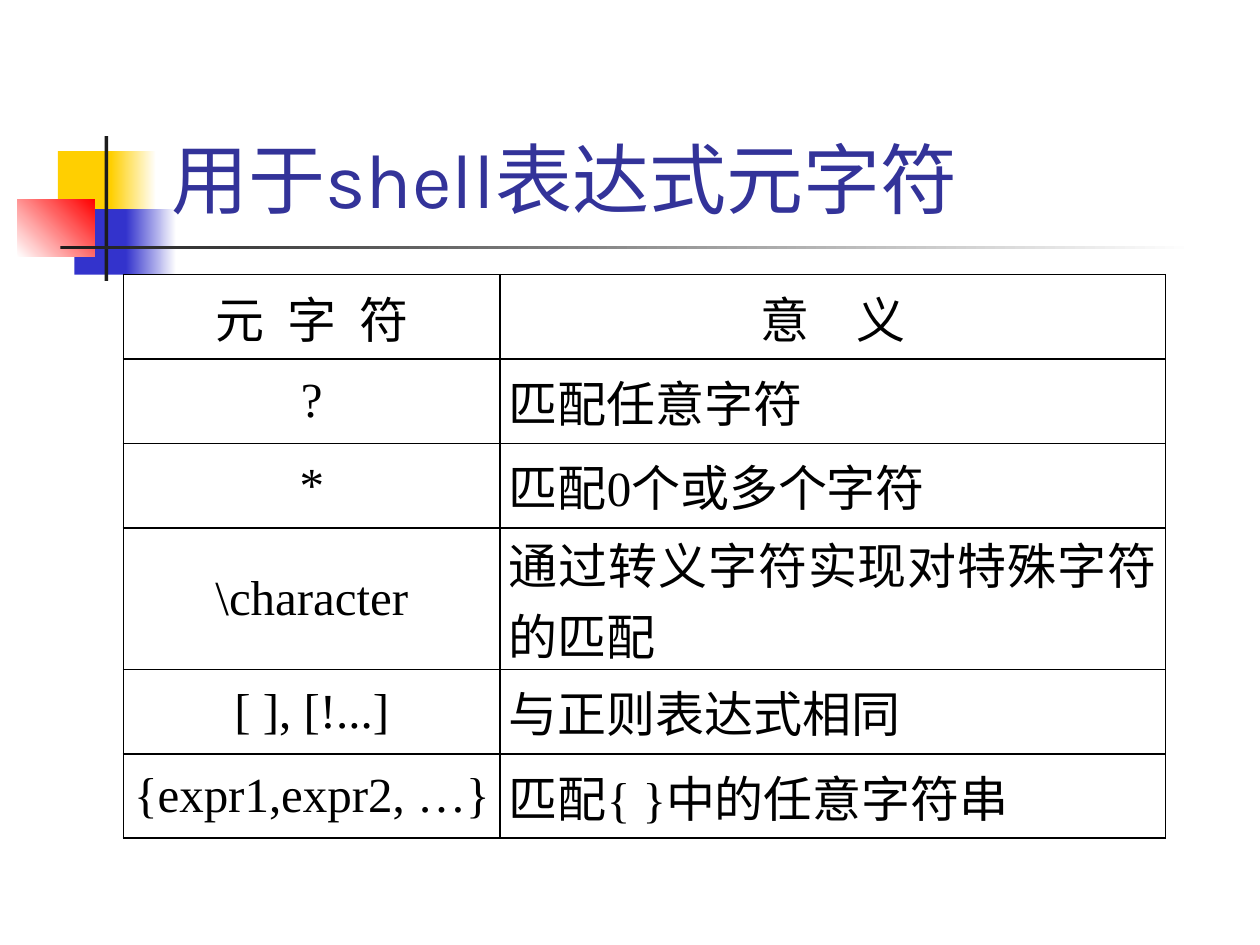
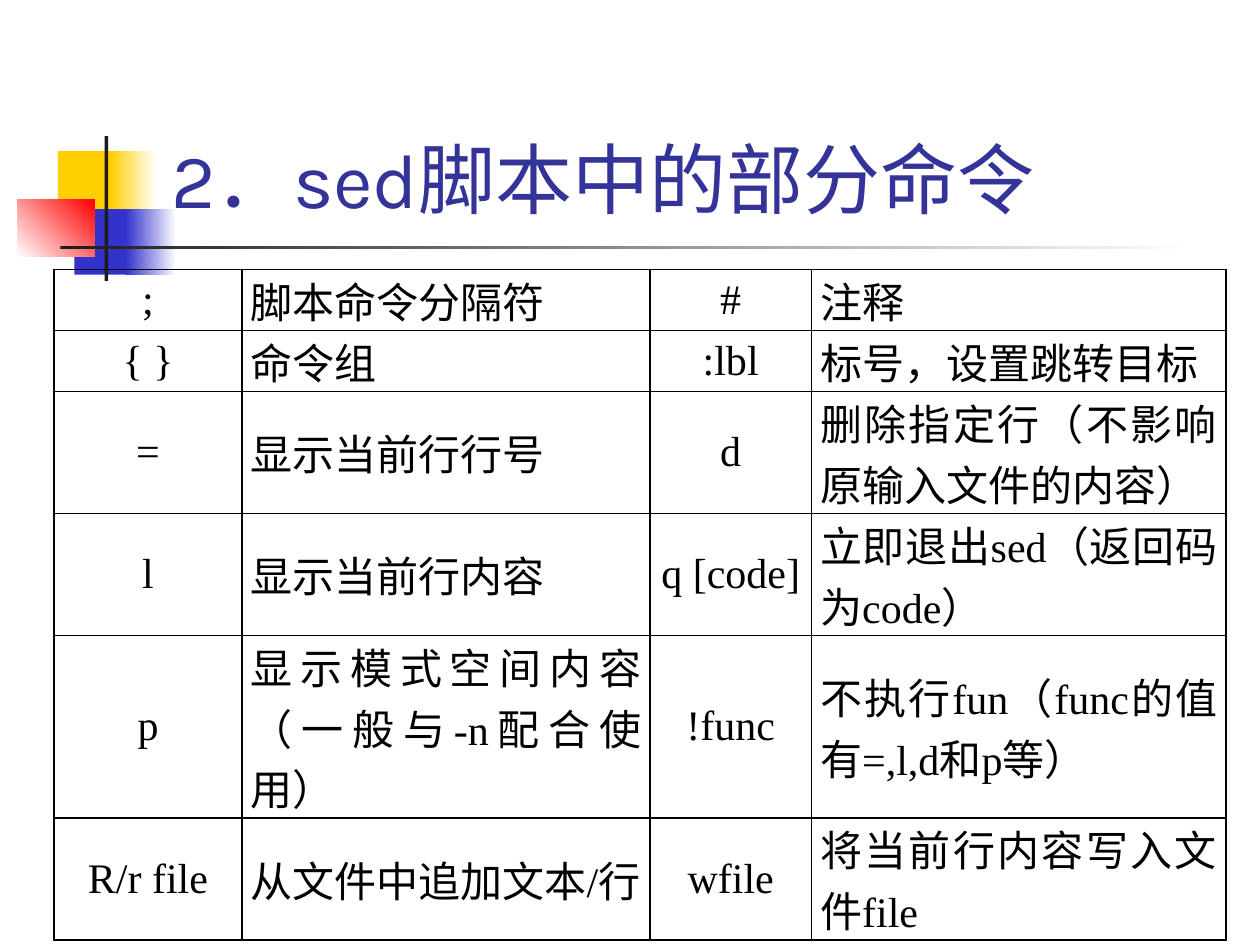
from lxml.etree import SubElement
from pptx import Presentation
from pptx.dml.color import RGBColor
from pptx.enum.lang import MSO_LANGUAGE_ID
from pptx.enum.shapes import MSO_SHAPE
from pptx.enum.text import MSO_ANCHOR, MSO_AUTO_SIZE, PP_ALIGN
from pptx.oxml.ns import qn
from pptx.util import Inches, Pt

YELLOW = RGBColor(0xFF, 0xCF, 0x01)
BLUE = RGBColor(0x33, 0x33, 0xCC)
RED = RGBColor(0xFF, 0x00, 0x00)
CHARCOAL = RGBColor(0x1C, 0x1C, 0x1C)
NAVY = RGBColor(0x33, 0x33, 0x99)
BLACK = RGBColor(0x00, 0x00, 0x00)
WHITE = RGBColor(0xFF, 0xFF, 0xFF)

TITLE_BOX = {"left": 1.26, "top": 0.23, "width": 8.52, "height": 1.6}
TITLE_FONT = {"size": Pt(44), "name": "Karla"}
CELL_FORMAT = {
    "vertical_anchor": MSO_ANCHOR.MIDDLE,
    "margin_left": Inches(0.07),
    "margin_right": Inches(0.07),
    "margin_top": 0,
    "margin_bottom": 0,
}

ORNAMENTS = [
    ((0.46, 1.2, 0.48, 0.52), [YELLOW], 0),
    ((0.88, 1.2, 0.36, 0.52), [YELLOW, WHITE], 0),
    ((0.59, 1.66, 0.46, 0.52), [BLUE], 0),
    ((1, 1.66, 0.4, 0.52), [BLUE, WHITE], 0),
    ((0.14, 1.58, 0.61, 0.46), [WHITE, RED], 45),
    ((0.83, 1.08, 0.03, 1.15), [CHARCOAL], 0),
    ((0.48, 1.95, 9, 0.03), [CHARCOAL, WHITE], 0),
]

HEADER_SPACING = {"元 字 符": 350, "意 义": 1050}

SLIDES = [
    {
        "title": "用于shell表达式元字符",
        "origin": (0.98, 2.18),
        "columns": [2.99, 5.28],
        "row_heights": [0.67, 0.67, 0.67, 0.93, 0.67, 0.67],
        "size": 28,
        "thick_after": None,
        "rows": [
            ("元 字 符", "意 义"),
            ("?", "匹配任意字符"),
            ("*", "匹配0个或多个字符"),
            ("\\character", "通过转义字符实现对特殊字符的匹配"),
            ("[ ], [!...]", "与正则表达式相同"),
            ("{expr1,expr2, …}", "匹配{ }中的任意字符串"),
        ],
    },
    {
        "title": "2．sed脚本中的部分命令",
        "origin": (0.43, 2.14),
        "columns": [1.49, 3.24, 1.28, 3.29],
        "row_heights": [0.43] * 2 + [0.8] * 4,
        "size": 24,
        "thick_after": 1,
        "rows": [
            (";", "脚本命令分隔符", "#", "注释"),
            ("{ }", "命令组", ":lbl", "标号，设置跳转目标"),
            ("=", "显示当前行行号", "d", "删除指定行（不影响原输入文件的内容）"),
            ("l", "显示当前行内容", "q [code]", "立即退出sed（返回码为code）"),
            ("p", "显示模式空间内容（一般与-n配合使用）", "!func",
             "不执行fun（func的值有=,l,d和p等）"),
            ("R/r file", "从文件中追加文本/行", "wfile", "将当前行内容写入文件file"),
        ],
    },
]


def style_font(font, values, color):
    for attribute, value in values.items():
        setattr(font, attribute, value)
    font.color.rgb = color
    font.language_id = MSO_LANGUAGE_ID.SIMPLIFIED_CHINESE


def draw_borders(cell, widths):
    properties = cell._tc.get_or_add_tcPr()
    for position, (side, width) in enumerate(widths.items()):
        edge = properties.makeelement(qn(f"a:{side}"), {"w": str(Pt(width))})
        fill = SubElement(edge, qn("a:solidFill"))
        SubElement(fill, qn("a:srgbClr"), val=str(BLACK))
        properties.insert(position, edge)


deck = Presentation()
deck.slide_width, deck.slide_height = Inches(10), Inches(7.5)
layout = deck.slide_layouts[5]
slides = [deck.slides.add_slide(layout) for _ in SLIDES]

for box, colors, angle in ORNAMENTS:
    ornament = slides[0].shapes.add_shape(MSO_SHAPE.RECTANGLE, *map(Inches, box))
    ornament.shadow.inherit = False
    ornament.line.fill.background()
    if len(colors) == 1:
        ornament.fill.solid()
        ornament.fill.fore_color.rgb = colors[0]
    else:
        ornament.fill.gradient()
        ornament.fill.gradient_angle = angle
        for stop, color in zip(ornament.fill.gradient_stops, colors):
            stop.color.rgb = color
    layout.element.cSld.spTree.append(ornament.element)

for slide, content in zip(slides, SLIDES):
    title = slide.shapes.title
    for attribute, value in TITLE_BOX.items():
        setattr(title, attribute, Inches(value))
    title.text_frame.text = content["title"]
    title.text_frame.vertical_anchor = MSO_ANCHOR.BOTTOM
    title.text_frame.auto_size = MSO_AUTO_SIZE.NONE
    heading = title.text_frame.paragraphs[0]
    heading.alignment = PP_ALIGN.LEFT
    style_font(heading.runs[0].font, TITLE_FONT, NAVY)

    columns, heights = content["columns"], content["row_heights"]
    left, top = content["origin"]
    commands = slide.shapes.add_table(
        len(heights), len(columns), Inches(left), Inches(top),
        Inches(sum(columns)), Inches(sum(heights))).table
    commands.first_row = commands.horz_banding = False
    for column, width in zip(commands.columns, columns):
        column.width = Inches(width)

    thick = content["thick_after"]
    for row, height, texts in zip(commands.rows, heights, content["rows"]):
        row.height = Inches(height)
        for index, (cell, text) in enumerate(zip(row.cells, texts)):
            cell.text = text
            for attribute, value in CELL_FORMAT.items():
                setattr(cell, attribute, value)
            cell.fill.background()
            draw_borders(cell, {
                "lnL": 1.5 if thick is not None and index == thick + 1 else 1,
                "lnR": 1.5 if index == thick else 1,
                "lnT": 1,
                "lnB": 1,
            })
            paragraph = cell.text_frame.paragraphs[0]
            centred = index % 2 == 0 or text in HEADER_SPACING
            paragraph.alignment = PP_ALIGN.CENTER if centred else PP_ALIGN.JUSTIFY
            run = paragraph.runs[0]
            style_font(run.font, {"size": Pt(content["size"]), "name": "Times New Roman"}, BLACK)
            if text in HEADER_SPACING:
                run._r.get_or_add_rPr().set("spc", str(HEADER_SPACING[text]))

deck.save("out.pptx")
